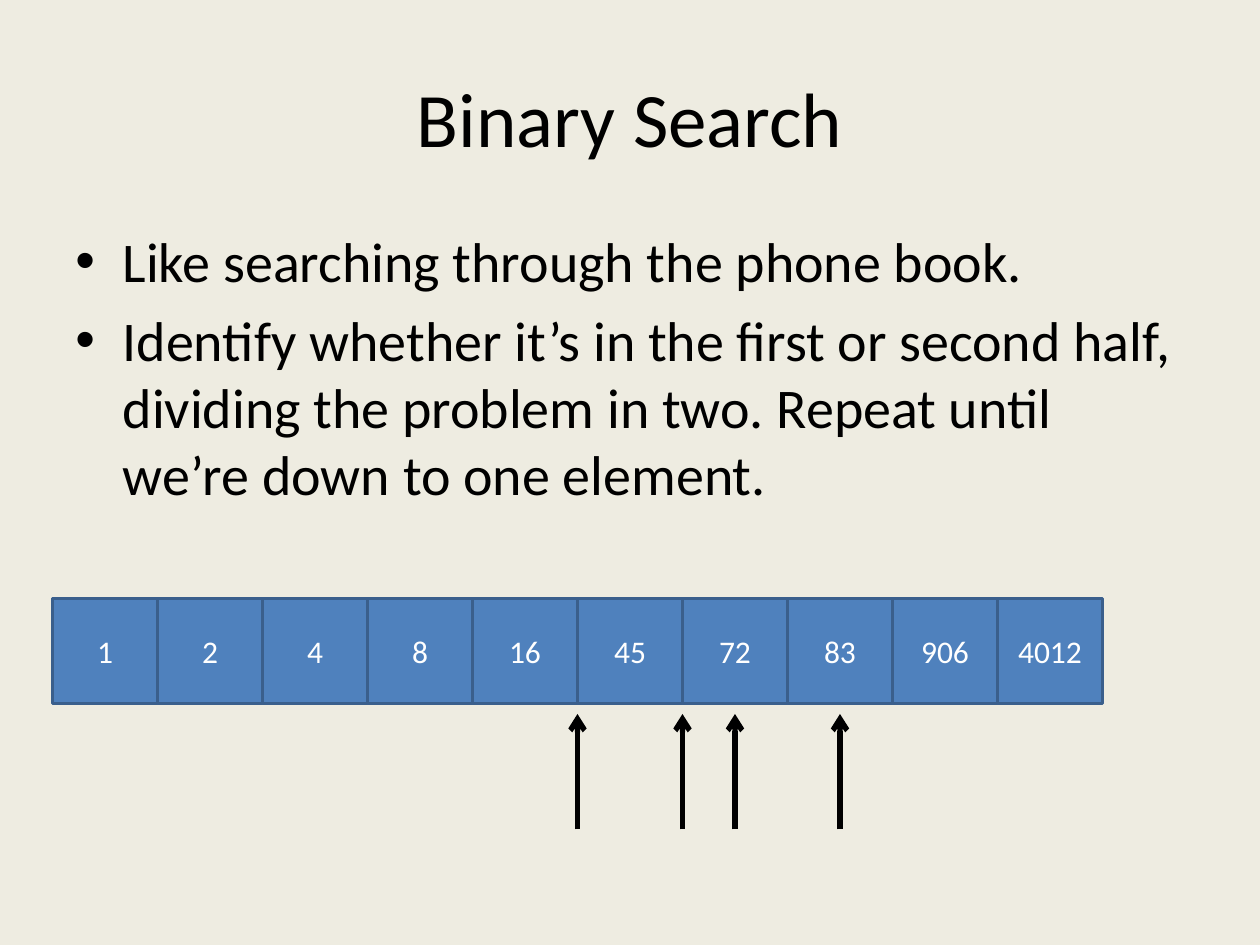
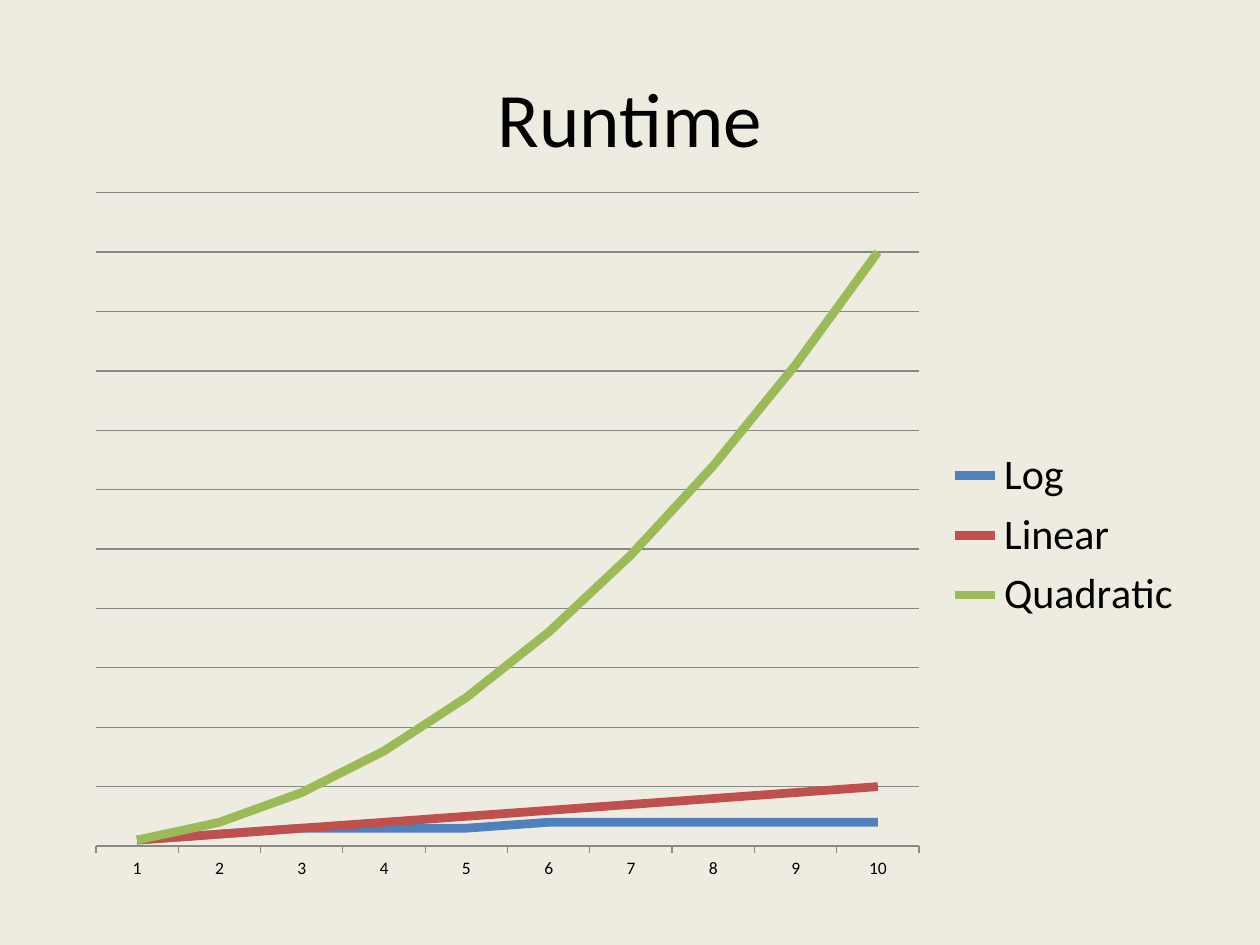
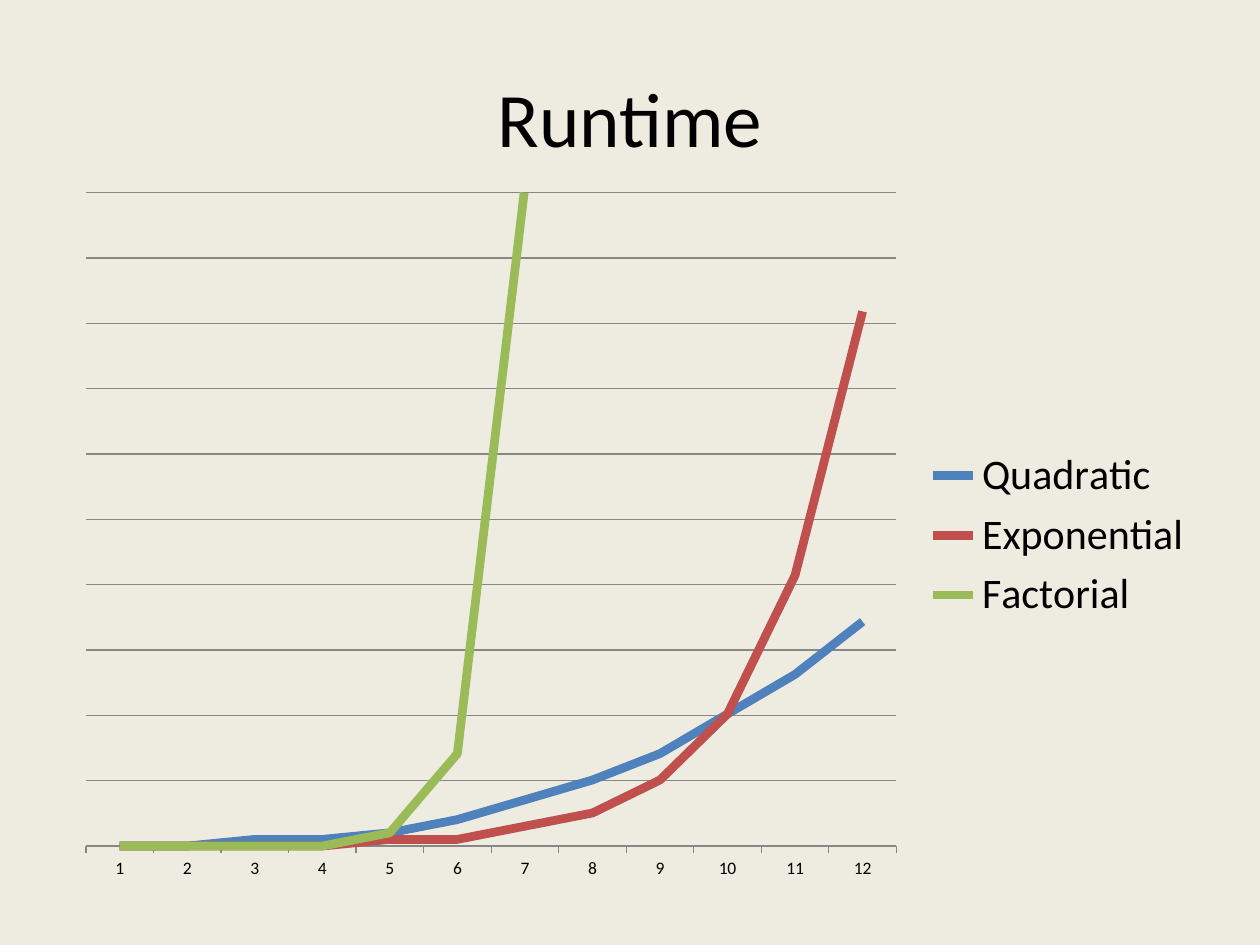
from math import factorial, log2

from lxml import etree
from pptx import Presentation
from pptx.chart.data import CategoryChartData
from pptx.dml.color import RGBColor
from pptx.enum.chart import (
    XL_CHART_TYPE, XL_LEGEND_POSITION, XL_MARKER_STYLE, XL_TICK_MARK)
from pptx.enum.shapes import MSO_CONNECTOR, MSO_SHAPE
from pptx.enum.text import MSO_ANCHOR, PP_ALIGN
from pptx.oxml.ns import qn
from pptx.util import Inches, Pt

LINE_CHART = XL_CHART_TYPE.LINE
LEGEND_RIGHT = XL_LEGEND_POSITION.RIGHT
NO_MARKER = XL_MARKER_STYLE.NONE
TICK_NONE, TICK_OUT = XL_TICK_MARK.NONE, XL_TICK_MARK.OUTSIDE
STRAIGHT, RECTANGLE = MSO_CONNECTOR.STRAIGHT, MSO_SHAPE.RECTANGLE
TOP, MIDDLE = MSO_ANCHOR.TOP, MSO_ANCHOR.MIDDLE
LEFT, CENTER = PP_ALIGN.LEFT, PP_ALIGN.CENTER

CREAM = RGBColor(0xEE, 0xEC, 0xE1)
BLACK = RGBColor(0, 0, 0)
WHITE = RGBColor(0xFF, 0xFF, 0xFF)
BLUE = RGBColor(0x4F, 0x81, 0xBD)
DARK_BLUE = RGBColor(0x3A, 0x5F, 0x8C)
RED = RGBColor(0xC0, 0x50, 0x4D)
GREEN = RGBColor(0x9B, 0xBB, 0x59)
GRAY = RGBColor(0x87, 0x87, 0x87)
FONT = "Calibri"

WIDTH, HEIGHT = Inches(10), Inches(7.5)
COLUMNS, ROWS = 12, 9
TITLE_BOX = (0.6, 0.36, 10.8, 1.5)
BODY_BOX = (0.6, 2.1, 10.8, 5.94)
ARRAY_BOX = (0.5, 5.7, 10, 1)

POINTS = (
    "Like searching through the phone book.",
    "Identify whether it’s in the first or second half, dividing the problem "
    "in two. Repeat until we’re down to one element.",
)
NUMBERS = (1, 2, 4, 8, 16, 45, 72, 83, 906, 4012)
PROBES = (5, 7.5, 6, 6.5)


def place(*box):
    """Turn grid columns and rows into slide lengths."""
    units = (WIDTH / COLUMNS, HEIGHT / ROWS) * 2
    return [round(share * unit) for share, unit in zip(box, units)]


def style_font(font, size, color=BLACK):
    """Set the shared typeface with a size and colour."""
    font.name, font.size, font.color.rgb = FONT, Pt(size), color


def write(paragraph, words, size, color=BLACK, align=CENTER):
    """Add one styled run to a paragraph."""
    paragraph.alignment = align
    run = paragraph.add_run()
    run.text = words
    style_font(run.font, size, color)


def add_frame(slide, box, anchor):
    """Add a wrapping text box and return its text frame."""
    frame = slide.shapes.add_textbox(*place(*box)).text_frame
    frame.word_wrap, frame.vertical_anchor = True, anchor
    return frame


def add_titled_slide(deck, title):
    """Add a blank slide with the shared title."""
    slide = deck.slides.add_slide(deck.slide_layouts[6])
    write(add_frame(slide, TITLE_BOX, MIDDLE).paragraphs[0], title, 44)
    return slide


def add_bullets(slide, box, points):
    """Write points as a bulleted list."""
    frame = add_frame(slide, box, TOP)
    for index, point in enumerate(points):
        paragraph = frame.add_paragraph() if index else frame.paragraphs[0]
        write(paragraph, point, 32, align=LEFT)
        paragraph.space_before = Pt(6.4)
        properties = paragraph._p.get_or_add_pPr()
        properties.set("marL", str(Pt(27)))
        properties.set("indent", str(-Pt(27)))
        etree.SubElement(properties, qn("a:buFont")).set("typeface", "Arial")
        etree.SubElement(properties, qn("a:buChar")).set("char", "•")


def add_array(slide, box, numbers):
    """Draw a row of adjoining cells, one for each number."""
    left, top, width, height = box
    step = width / len(numbers)
    for index, number in enumerate(numbers):
        cell = slide.shapes.add_shape(
            RECTANGLE, *place(left + index * step, top, step, height))
        cell.shadow.inherit = False
        cell.fill.solid()
        cell.fill.fore_color.rgb = BLUE
        cell.line.color.rgb, cell.line.width = DARK_BLUE, Pt(2)
        cell.text_frame.vertical_anchor = MIDDLE
        write(cell.text_frame.paragraphs[0], str(number), 18, WHITE)


def add_probes(slide, box, probes):
    """Point arrows up at the array, at offsets counted in cells."""
    left, top, width, height = box
    step = width / len(NUMBERS)
    for probe in probes:
        x = left + probe * step
        arrow = slide.shapes.add_connector(
            STRAIGHT, *place(x, top + 2.2 * height, x, top + 1.1 * height))
        arrow.line.color.rgb, arrow.line.width = BLACK, Pt(3)
        line = arrow.line._get_or_add_ln()
        etree.SubElement(line, qn("a:tailEnd")).set("type", "arrow")
        etree.SubElement(arrow._element.spPr, qn("a:effectLst"))


def add_runtime_chart(slide, box, sizes, curves, ceiling, step):
    """Plot each growth curve over the problem sizes."""
    data = CategoryChartData()
    data.categories = [str(size) for size in sizes]
    for name, values in curves.items():
        data.add_series(name, values)
    chart = slide.shapes.add_chart(LINE_CHART, *place(*box), data).chart
    style_font(chart.font, 10)
    chart.has_title = False
    chart.has_legend = True
    chart.legend.position = LEGEND_RIGHT
    chart.legend.include_in_layout = False
    style_font(chart.legend.font, 24)

    cost, size_axis = chart.value_axis, chart.category_axis
    cost.visible = False
    cost.minimum_scale, cost.maximum_scale, cost.major_unit = 0, ceiling, step
    cost.has_major_gridlines = True
    size_axis.major_tick_mark, size_axis.minor_tick_mark = TICK_OUT, TICK_NONE
    for line in (cost.major_gridlines.format.line, size_axis.format.line):
        line.color.rgb, line.width = GRAY, Pt(0.75)

    chart.plots[0].vary_by_categories = False
    for curve, color in zip(chart.plots[0].series, (BLUE, RED, GREEN)):
        curve.smooth = False
        curve.marker.style = NO_MARKER
        curve.format.line.color.rgb, curve.format.line.width = color, Pt(5)


def build_search(deck):
    """Build the slide that explains binary search."""
    slide = add_titled_slide(deck, "Binary Search")
    add_bullets(slide, BODY_BOX, POINTS)
    add_array(slide, ARRAY_BOX, NUMBERS)
    add_probes(slide, ARRAY_BOX, PROBES)


def build_runtime(deck, box, sizes, curves, ceiling, step):
    """Build a slide that compares runtimes."""
    slide = add_titled_slide(deck, "Runtime")
    add_runtime_chart(slide, box, sizes, curves, ceiling, step)


def percent_of_peak(cost):
    """Scale a cost to whole percents of seven factorial."""
    return round(100 * cost / factorial(7))


def main():
    """Build and save the deck."""
    deck = Presentation()
    deck.slide_width, deck.slide_height = WIDTH, HEIGHT
    background = deck.slide_master.background.fill
    background.solid()
    background.fore_color.rgb = CREAM

    build_search(deck)
    small, large = range(1, 11), range(1, 13)
    build_runtime(deck, (0.7, 1.7, 10.7, 6.8), small, {
        "Log": [round(1 + log2(n)) for n in small],
        "Linear": list(small),
        "Quadratic": [n ** 2 for n in small],
    }, 110, 10)
    build_runtime(deck, (0.6, 1.7, 10.9, 6.8), large, {
        "Quadratic": [percent_of_peak(n ** 3) for n in large],
        "Exponential": [percent_of_peak(2 ** n) for n in large],
        "Factorial": [percent_of_peak(factorial(n)) if n < 8 else None
                      for n in large],
    }, 99, 9.9)
    deck.save("out.pptx")


main()
